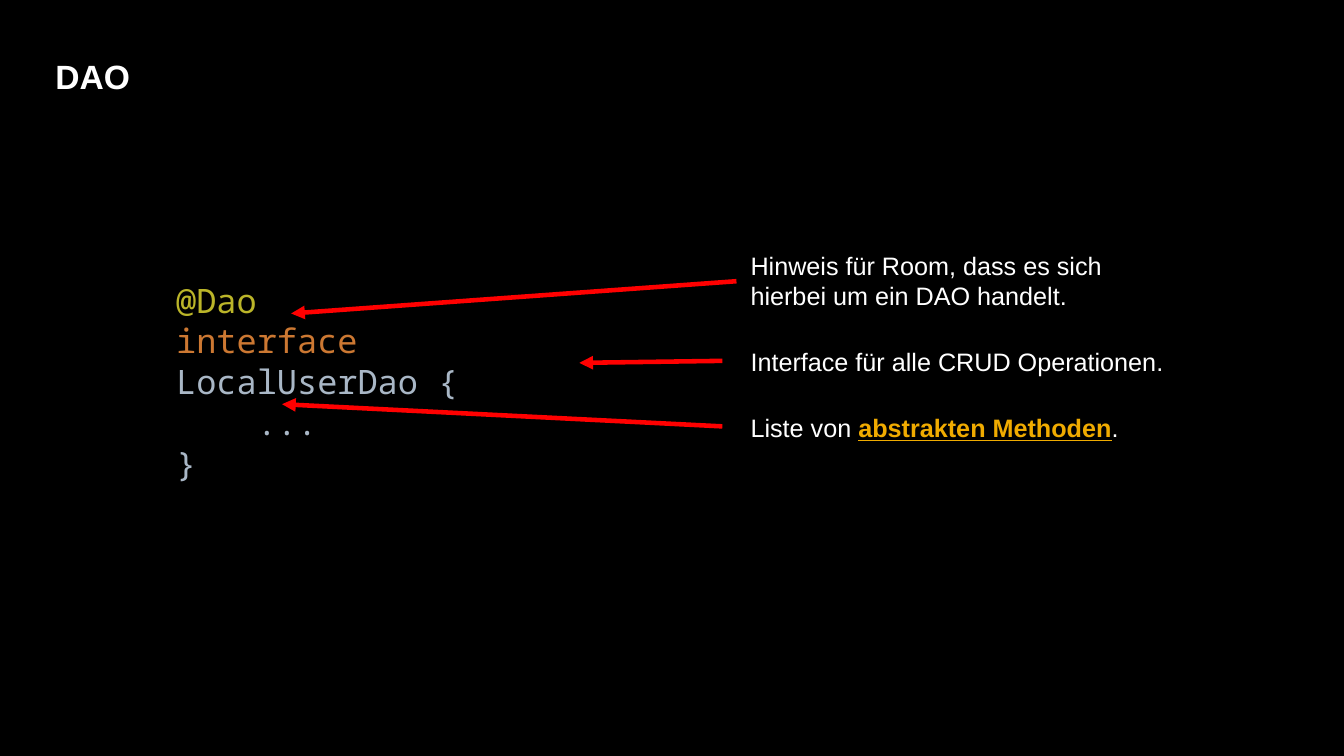
from dataclasses import dataclass

import pptx
import pptx.dml.color
import pptx.enum.shapes
import pptx.enum.text
import pptx.oxml
import pptx.oxml.ns
import pptx.util

Inches = pptx.util.Inches
Pt = pptx.util.Pt


@dataclass(frozen=True)
class Theme:
    background: str = "000000"
    text: str = "FFFFFF"
    accent: str = "F0AB00"
    arrow: str = "FF0000"
    annotation: str = "BBB529"
    keyword: str = "CC7832"
    code: str = "A9B7C6"
    font: str = "Arial"
    code_font: str = "Noto Sans Mono"
    large: int = 24
    body: int = 18
    code_pitch: float = 29.1
    arrow_width: float = 3.25


THEME = Theme()


def rgb(value):
    return pptx.dml.color.RGBColor.from_string(value)


def add_text(s, box, runs, font, size, inset=0.0):
    tf = s.shapes.add_textbox(*map(Inches, box)).text_frame
    tf.word_wrap = True
    tf.margin_left = tf.margin_right = Inches(inset)
    tf.margin_top = tf.margin_bottom = Inches(inset / 2)
    p = tf.paragraphs[0]
    p.font.name = font
    p.font.size = Pt(size)
    for text, color, strong in runs:
        for i, line in enumerate(text.split("\n")):
            if i:
                p.add_line_break()
            if line:
                r = p.add_run()
                r.text = line
                r.font.color.rgb = rgb(color)
                if strong:
                    r.font.bold = True
                    r.font.underline = color == THEME.accent
    return tf


def add_arrow(s, start, end):
    line = s.shapes.add_connector(
        pptx.enum.shapes.MSO_CONNECTOR.STRAIGHT, *map(Inches, start + end))
    line.line.color.rgb = rgb(THEME.arrow)
    line.line.width = Pt(THEME.arrow_width)
    tail = pptx.oxml.parse_xml(
        f'<a:tailEnd {pptx.oxml.ns.nsdecls("a")} type="triangle"/>')
    line.line._get_or_add_ln().append(tail)
    effects = pptx.oxml.parse_xml(f'<a:effectLst {pptx.oxml.ns.nsdecls("a")}/>')
    line._element.spPr.append(effects)


def add_title(s, box):
    add_text(s, box, [("DAO", THEME.text, True)], THEME.font, THEME.large)


def add_code(s, box):
    runs = [
        ("@Dao\n", THEME.annotation, False),
        ("interface ", THEME.keyword, False),
        ("LocalUserDao {\n    ...\n}", THEME.code, False),
    ]
    tf = add_text(s, box, runs, THEME.code_font, THEME.large, 0.1)
    tf.vertical_anchor = pptx.enum.text.MSO_ANCHOR.MIDDLE
    tf.paragraphs[0].line_spacing = Pt(THEME.code_pitch)


def add_notes(s, box):
    left, top, width, height = box
    line_height = height / 6.4
    notes = [
        (0, 2, (-0.14, 0.31), (-4.56, 0.63),
         [("Hinweis für Room, dass es sich hierbei um ein DAO handelt.",
           THEME.text, False)]),
        (0.96, 1, (-0.28, 0.14), (-1.7, 0.16),
         [("Interface für alle CRUD Operationen.", THEME.text, False)]),
        (1.61, 1, (-0.28, 0.14), (-4.65, -0.08),
         [("Liste von ", THEME.text, False),
          ("abstrakten Methoden", THEME.accent, True),
          (".", THEME.text, False)]),
    ]
    for offset, lines, start, end, runs in notes:
        y = top + offset
        add_arrow(s, (left + start[0], y + start[1]),
                  (left + end[0], y + end[1]))
        add_text(s, (left, y, width, lines * line_height), runs,
                 THEME.font, THEME.body)


def add_dao_slide(prs):
    s = prs.slides.add_slide(prs.slide_layouts[6])
    s.background.fill.solid()
    s.background.fill.fore_color.rgb = rgb(THEME.background)
    add_title(s, (0.55, 0.55, 12.23, 0.4))
    add_code(s, (1.65, 2.92, 3.55, 1.72))
    add_notes(s, (7.45, 2.48, 4.2, 1.92))


def main():
    prs = pptx.Presentation()
    prs.slide_width = Inches(13.34)
    prs.slide_height = Inches(7.5)
    add_dao_slide(prs)
    prs.save("out.pptx")


if __name__ == "__main__":
    main()
